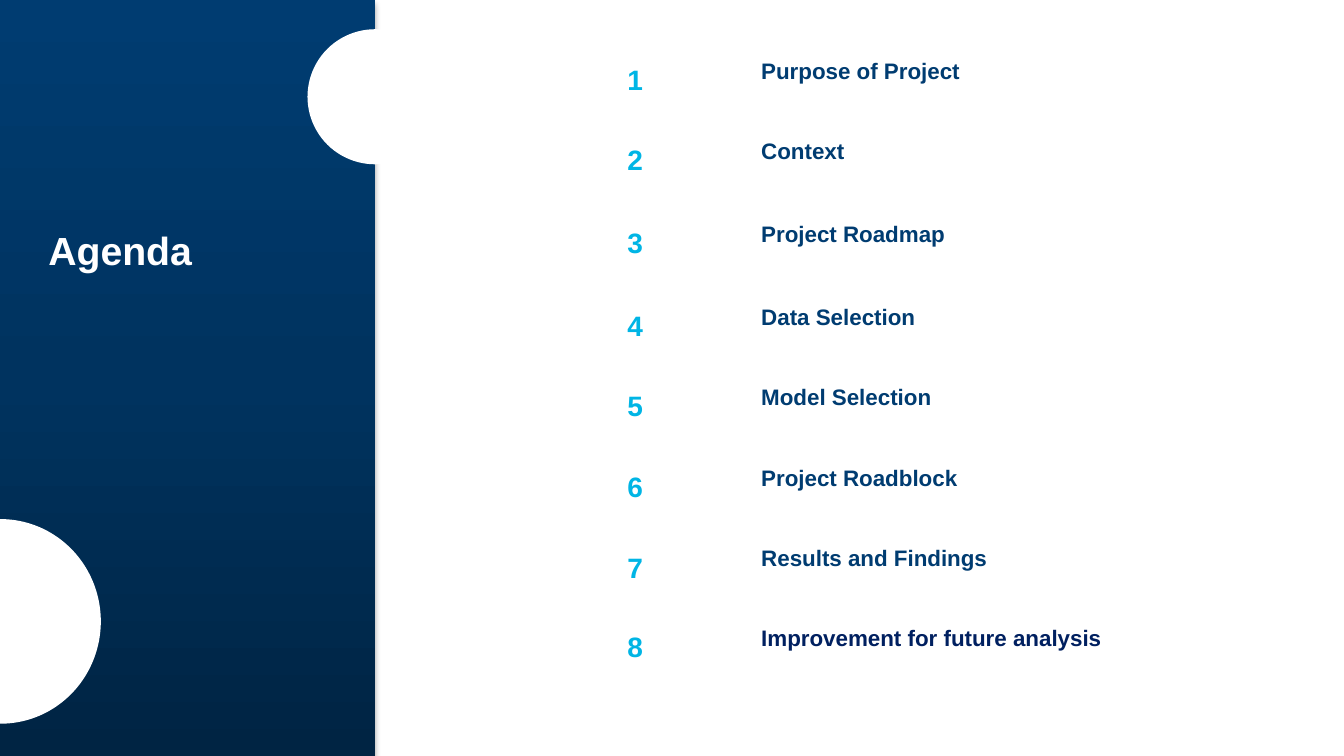
from copy import deepcopy

from lxml.etree import SubElement
from pptx import Presentation
from pptx.dml.color import RGBColor
from pptx.enum.shapes import MSO_SHAPE as SHAPE
from pptx.enum.text import MSO_ANCHOR as ANCHOR, MSO_AUTO_SIZE as AUTO, PP_ALIGN as ALIGN
from pptx.oxml import parse_xml
from pptx.oxml.ns import nsdecls, qn
from pptx.util import Pt

TITLE = "Agenda"
AGENDA = [
    ("Purpose of Project", 52, "navy"),
    ("Context", 132, "navy"),
    ("Project Roadmap", 214, "navy"),
    ("Data Selection", 296, "navy"),
    ("Model Selection", 376, "navy"),
    ("Project Roadblock", 456, "navy"),
    ("Results and Findings", 536, "navy"),
    ("Improvement for future analysis", 615, "indigo"),
]
CIRCLES = [(305, 29, 134, 134), (-99, 515, 199, 203)]
COLORS = {
    "navy": "003C71", "indigo": "002060", "cyan": "00B5E5", "white": "FFFFFF",
    "panel_mid": "00335F", "panel_dark": "002443", "shadow": "000000",
}
FONT = "Arial"
PX = 9144


def rgb(name):
    return RGBColor.from_string(COLORS[name])


def place(sp, box):
    sp.left, sp.top, sp.width, sp.height = (v * PX for v in box)


def write(sp, box, text, size, color, anchor, align=ALIGN.LEFT, insets=(0, 0)):
    place(sp, box)
    tf = sp.text_frame
    tf.word_wrap = True
    tf.auto_size = AUTO.NONE
    tf.vertical_anchor = anchor
    tf.margin_left = tf.margin_right = insets[0] * PX
    tf.margin_top = tf.margin_bottom = insets[1] * PX
    p = tf.paragraphs[0]
    p.alignment = align
    p.space_before = Pt(0)
    r = p.add_run()
    r.text = text
    r.font.name = FONT
    r.font.size = Pt(size)
    r.font.bold = True
    r.font.color.rgb = rgb(color)


def add_plain(s, kind, box):
    sp = s.shapes.add_shape(kind, *(v * PX for v in box))
    sp.shadow.inherit = False
    sp.line.fill.background()
    return sp


def prepare_layout(layout, count):
    for ph in list(layout.placeholders):
        if ph.placeholder_format.idx in (2, 3, 4):
            ph.element.getparent().remove(ph.element)
    body = next(ph for ph in layout.placeholders if ph.placeholder_format.idx == 1)
    for n in range(count - 1, 0, -1):
        twin = deepcopy(body.element)
        twin.nvSpPr.cNvPr.set("id", str(100 + n))
        twin.nvSpPr.cNvPr.set("name", f"Text Placeholder {n + 1}")
        twin.find(f".//{qn('p:ph')}").set("idx", str(20 + n))
        body.element.addnext(twin)


def add_panel(s):
    panel = add_plain(s, SHAPE.RECTANGLE, (0, 0, 372, 750))
    fill = panel.fill
    fill.gradient()
    fill.gradient_angle = 90
    bottom, top = fill.gradient_stops
    bottom.color.rgb, top.color.rgb = rgb("panel_dark"), rgb("navy")
    stops = panel.element.spPr.find(f".//{qn('a:gsLst')}")
    stops.insert(1, parse_xml(
        f'<a:gs {nsdecls("a")} pos="50000"><a:srgbClr val="{COLORS["panel_mid"]}"/></a:gs>'))
    effects = panel.element.spPr.find(qn("a:effectLst"))
    shadow = SubElement(effects, qn("a:outerShdw"), blurRad=str(Pt(4)),
                        dist=str(Pt(3)), dir="5400000", rotWithShape="0")
    color = SubElement(shadow, qn("a:srgbClr"), val=COLORS["shadow"])
    SubElement(color, qn("a:alpha"), val="40000")
    s.shapes.title.element.addprevious(panel.element)


def main():
    prs = Presentation()
    prs.slide_width, prs.slide_height = 1333 * PX, 750 * PX
    layout = prs.slide_layouts[4]
    prepare_layout(layout, 2 * len(AGENDA))
    s = prs.slides.add_slide(layout)
    add_panel(s)
    write(s.shapes.title, (48, 115, 325, 156), TITLE, 28, "white", ANCHOR.BOTTOM)

    bodies = [ph for ph in s.placeholders if ph.placeholder_format.idx > 0]
    pairs = zip(bodies[::2], bodies[1::2])
    for number, ((topic, top, color), (label, digit)) in enumerate(zip(AGENDA, pairs), 1):
        write(label, (745, top, 421, 31), topic, 16, color, ANCHOR.BOTTOM, insets=(10, 0))
        write(digit, (600, top, 60, 53), str(number), 20, "cyan", ANCHOR.MIDDLE,
              ALIGN.CENTER, (10, 5))

    for box in CIRCLES:
        circle = add_plain(s, SHAPE.FLOWCHART_CONNECTOR, box)
        circle.fill.solid()
        circle.fill.fore_color.rgb = rgb("white")
    prs.save("out.pptx")


if __name__ == "__main__":
    main()
